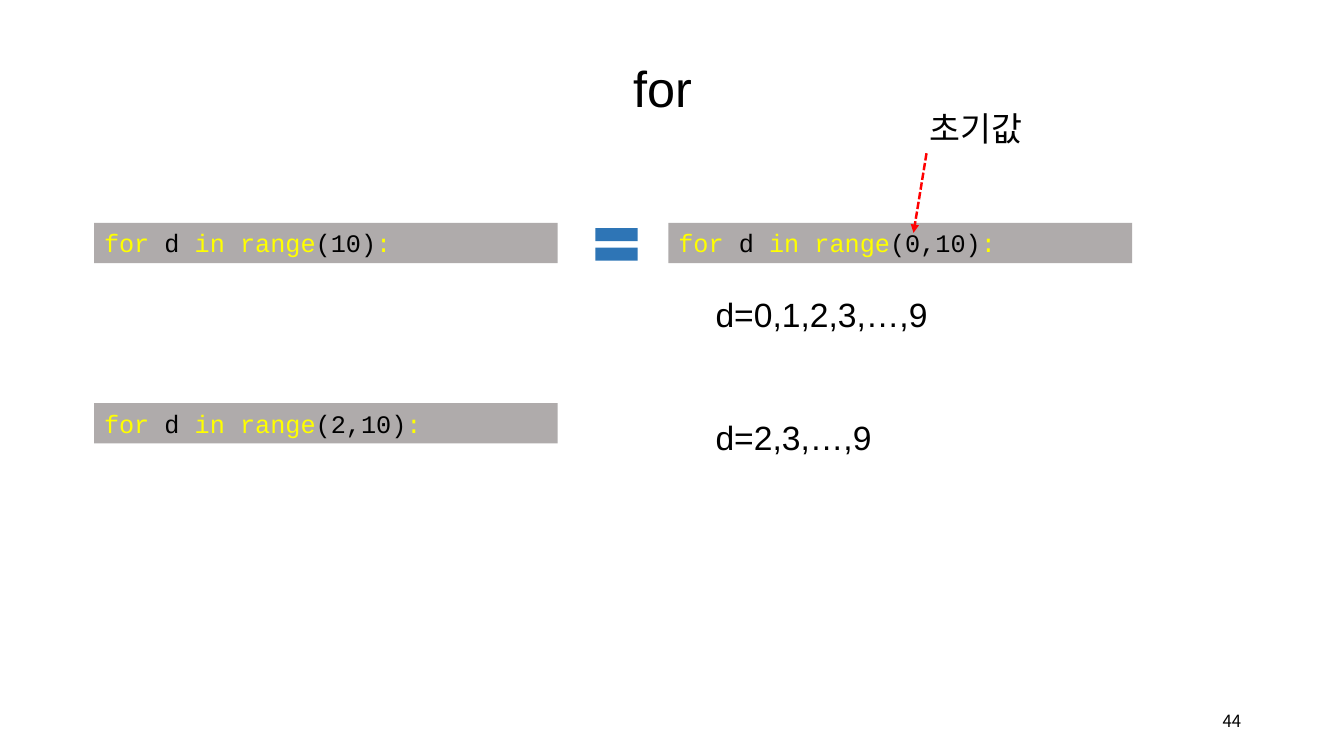
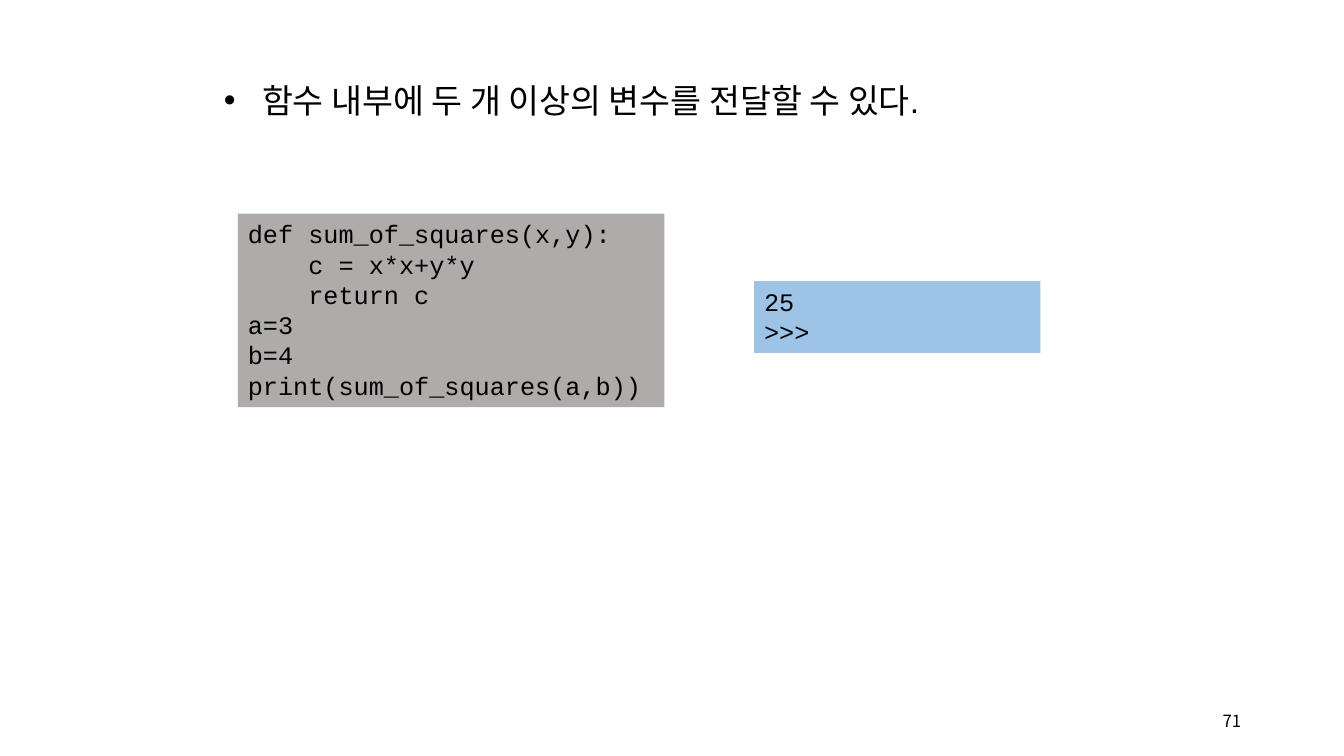
from pptx import Presentation
from pptx import util as u
from pptx.dml.color import RGBColor
from pptx.enum import dml, shapes, text
from pptx.oxml.ns import qn
from lxml import etree

BLACK = RGBColor(0x00, 0x00, 0x00)
YELLOW = RGBColor(0xFF, 0xFF, 0x00)
RED = RGBColor(0xFF, 0x00, 0x00)
GRAY = RGBColor(0xAF, 0xAB, 0xAB)
BLUE = RGBColor(0x2E, 0x75, 0xB6)
SKY = RGBColor(0x9D, 0xC3, 0xE6)

SANS, MONO, KOREAN = "Arial", "Courier New", "Noto Sans CJK KR"
CONTENT_LAYOUT, TITLE_LAYOUT = 1, 5
GRID = 100
LEFT_COL, RIGHT_COL, RESULT_COL = 7, 49.73, 52.5
FIRST_ROW, SECOND_ROW = 29.47, 53.33
CODE_W, LINE_H, LABEL_H = 34.5, 5.33, 9.47


class Deck:
    def __init__(self):
        self.prs = Presentation()
        self.prs.slide_width = u.Inches(13.33)
        self.prs.slide_height = u.Inches(7.5)
        self.slide = None

    def cols(self, count):
        return round(self.prs.slide_width * count / GRID)

    def rows(self, count):
        return round(self.prs.slide_height * count / GRID)

    def box(self, x, y, w, h):
        return self.cols(x), self.rows(y), self.cols(w), self.rows(h)

    def new_slide(self, layout, number):
        self.slide = self.prs.slides.add_slide(self.prs.slide_layouts[layout])
        holder = self.slide.shapes.add_textbox(*self.box(89.5, 92.67, 3.6, LINE_H))
        frame = self.frame(holder, wrap=True, grow=False)
        frame.vertical_anchor = text.MSO_ANCHOR.MIDDLE
        frame.paragraphs[0].alignment = text.PP_ALIGN.RIGHT
        self.run(frame.paragraphs[0], str(number), 12, KOREAN)

    def frame(self, holder, wrap, grow=True):
        frame = holder.text_frame
        frame.word_wrap = wrap
        frame.auto_size = (text.MSO_AUTO_SIZE.SHAPE_TO_FIT_TEXT if grow
                           else text.MSO_AUTO_SIZE.NONE)
        frame.vertical_anchor = text.MSO_ANCHOR.TOP
        return frame

    def run(self, paragraph, words, size, face, color=BLACK):
        run = paragraph.add_run()
        run.text = words
        run.font.size = u.Pt(size)
        run.font.color.rgb = color
        run.font.name = face
        east_asian = etree.SubElement(run.font._element, qn("a:ea"))
        east_asian.set("typeface", KOREAN)

    def spaced_line(self, holder, words, size):
        paragraph = self.frame(holder, wrap=False).paragraphs[0]
        paragraph.alignment = text.PP_ALIGN.LEFT
        paragraph.line_spacing = 1.5
        paragraph.space_before = u.Pt(0)
        self.run(paragraph, words, size, SANS)
        return paragraph

    def place(self, holder, *cells):
        holder.left, holder.top, holder.width, holder.height = self.box(*cells)

    def title(self, words, *cells):
        heading = self.slide.shapes.title
        self.place(heading, *cells)
        self.spaced_line(heading, words, 36)

    def bullet(self, words, *cells):
        heading = self.slide.shapes.title
        heading._element.getparent().remove(heading._element)
        body = self.slide.placeholders[1]
        self.place(body, *cells)
        props = self.spaced_line(body, words, 24)._p.get_or_add_pPr()
        props.set("marL", str(u.Inches(0.38)))
        props.set("indent", str(-u.Inches(0.38)))
        etree.SubElement(props, qn("a:buFont")).set("typeface", SANS)
        etree.SubElement(props, qn("a:buChar")).set("char", "•")

    def label(self, words, *cells):
        holder = self.slide.shapes.add_textbox(*self.box(*cells))
        self.spaced_line(holder, words, 24)

    def solid(self, kind, fill, *cells):
        shape = self.slide.shapes.add_shape(kind, *self.box(*cells))
        shape.shadow.inherit = False
        shape.fill.solid()
        shape.fill.fore_color.rgb = fill
        shape.line.fill.background()
        return shape

    def code(self, lines, fill, *cells):
        panel = self.solid(shapes.MSO_SHAPE.RECTANGLE, fill, *cells)
        frame = self.frame(panel, wrap=True)
        for index, tokens in enumerate(lines):
            paragraph = frame.add_paragraph() if index else frame.paragraphs[0]
            paragraph.alignment = text.PP_ALIGN.LEFT
            for words, color in tokens:
                self.run(paragraph, words, 18, MONO, color)

    def plain_code(self, source, fill, *cells):
        self.code([[(line, BLACK)] for line in source], fill, *cells)

    def range_loop(self, bounds, x, y):
        tokens = [("for ", YELLOW), ("d ", BLACK), ("in range", YELLOW),
                  (f"({bounds})", BLACK), (":", YELLOW)]
        self.code([tokens], GRAY, x, y, CODE_W, LINE_H)

    def dashed_arrow(self, x1, y1, x2, y2):
        arrow = self.slide.shapes.add_connector(
            shapes.MSO_CONNECTOR.STRAIGHT,
            self.cols(x1), self.rows(y1), self.cols(x2), self.rows(y2))
        arrow.line.color.rgb = RED
        arrow.line.width = u.Pt(1.75)
        arrow.line.dash_style = dml.MSO_LINE.SQUARE_DOT
        line = arrow.line._get_or_add_ln()
        line.find(qn("a:prstDash")).set("val", "sysDash")
        etree.SubElement(line, qn("a:tailEnd")).set("type", "triangle")
        etree.SubElement(arrow._element.spPr, qn("a:effectLst"))


def for_slide(deck):
    deck.new_slide(TITLE_LAYOUT, 44)
    deck.title("for", 46.36, 2.93, 5.93, 12)
    deck.range_loop("10", LEFT_COL, FIRST_ROW)
    deck.range_loop("0,10", RIGHT_COL, FIRST_ROW)
    deck.range_loop("2,10", LEFT_COL, SECOND_ROW)
    deck.solid(shapes.MSO_SHAPE.MATH_EQUAL, BLUE, 43.73, 28.67, 4.28, 7.33)
    deck.dashed_arrow(68.94, 20.27, 67.97, 30.8)
    deck.label("초기값", 68.42, 10.93, 9.08, LABEL_H)
    deck.label("d=0,1,2,3,…,9", RESULT_COL, 35.6, 17.4, LABEL_H)
    deck.label("d=2,3,…,9", RESULT_COL, 51.87, 13.2, 8.4)


def function_slide(deck):
    deck.new_slide(CONTENT_LAYOUT, 71)
    deck.bullet("함수 내부에 두 개 이상의 변수를 전달할 수 있다.",
                15.9, 7.2, 58.59, LABEL_H)
    deck.plain_code(["def sum_of_squares(x,y):",
                     "    c = x*x+y*y",
                     "    return c",
                     "a=3",
                     "b=4",
                     "print(sum_of_squares(a,b))"],
                    GRAY, 17.7, 28.27, 31.73, 25.6)
    deck.plain_code(["25", ">>>"], SKY, 56.11, 37.2, 21.3, LABEL_H)


def main():
    deck = Deck()
    for_slide(deck)
    function_slide(deck)
    deck.prs.save("out.pptx")


if __name__ == "__main__":
    main()
